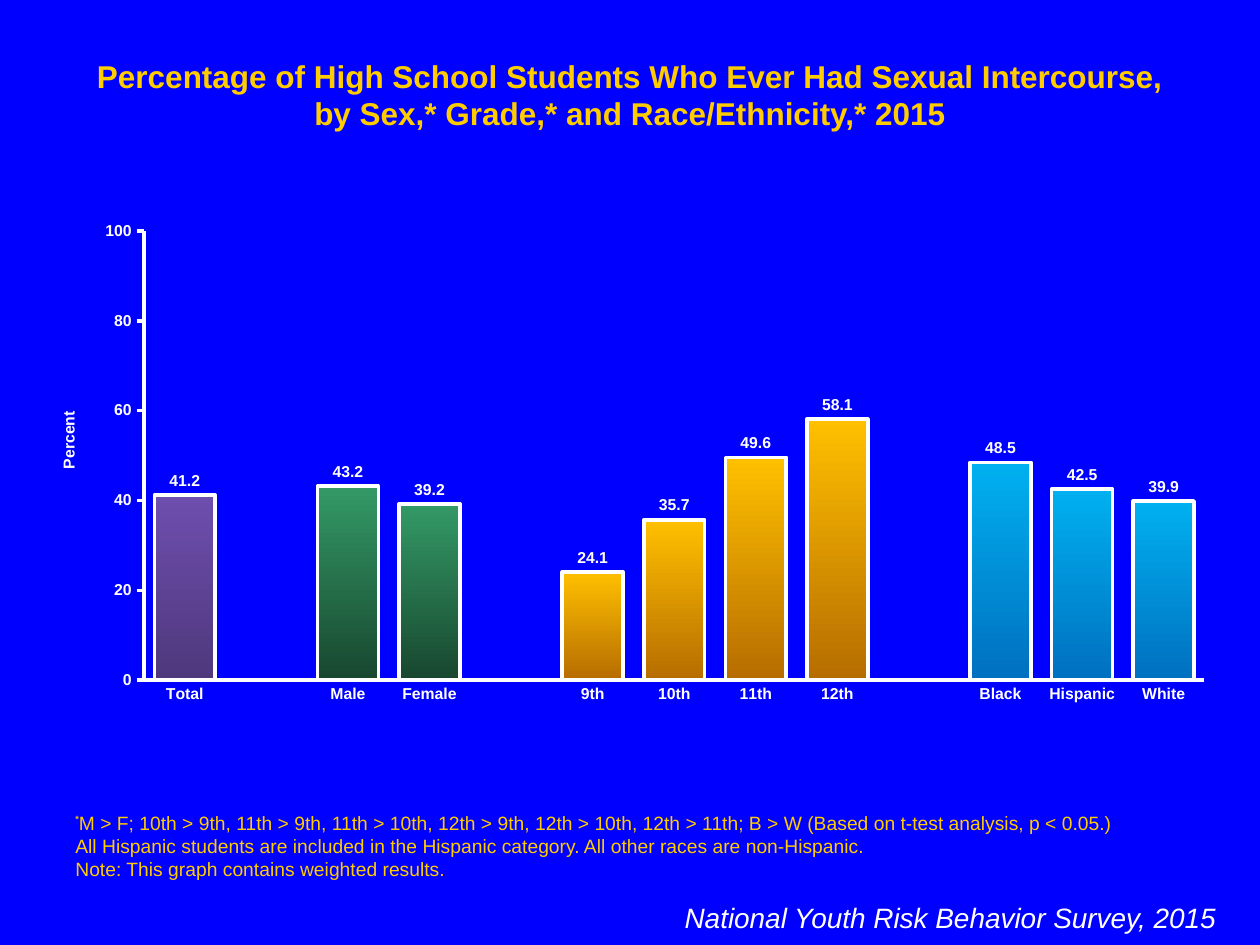
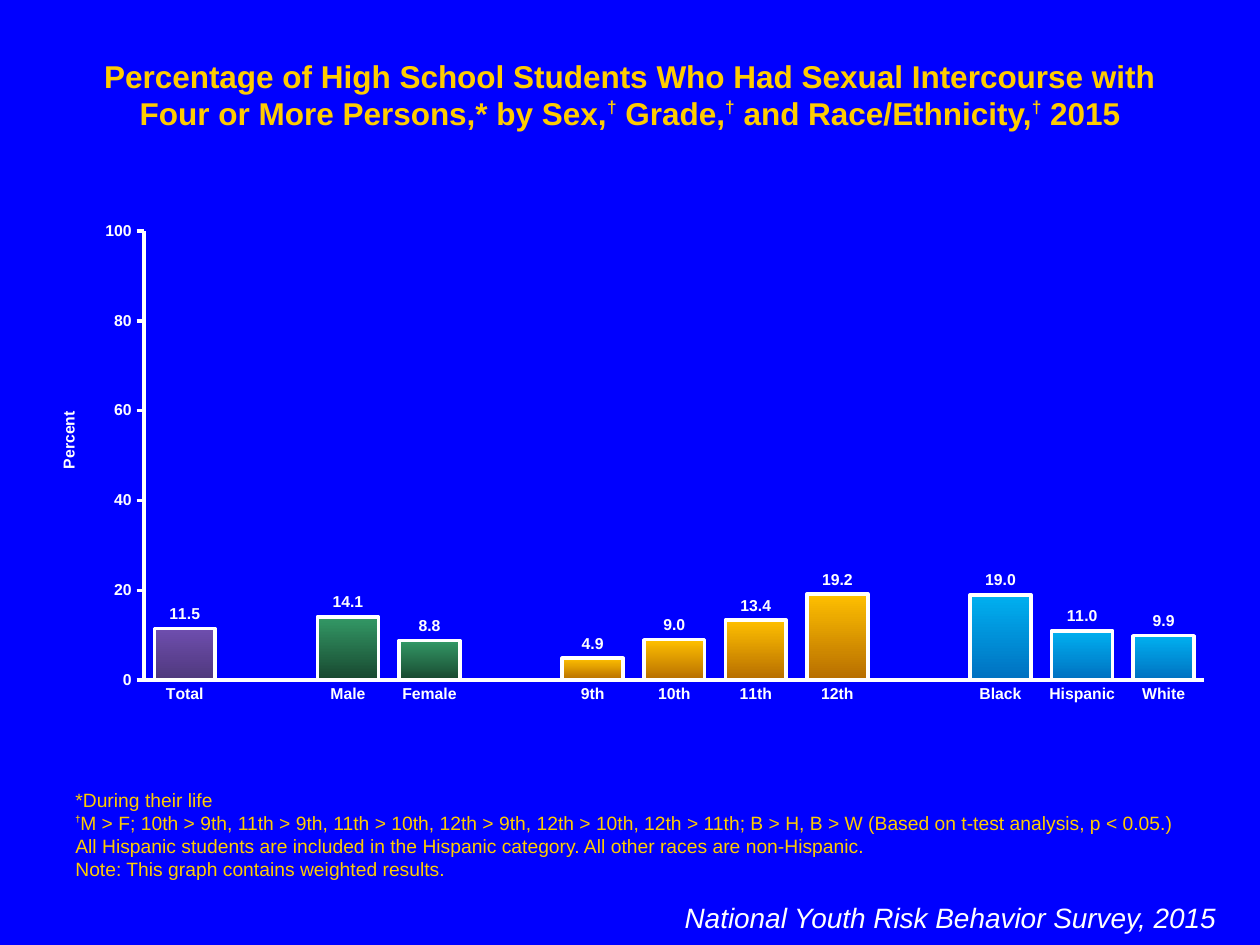
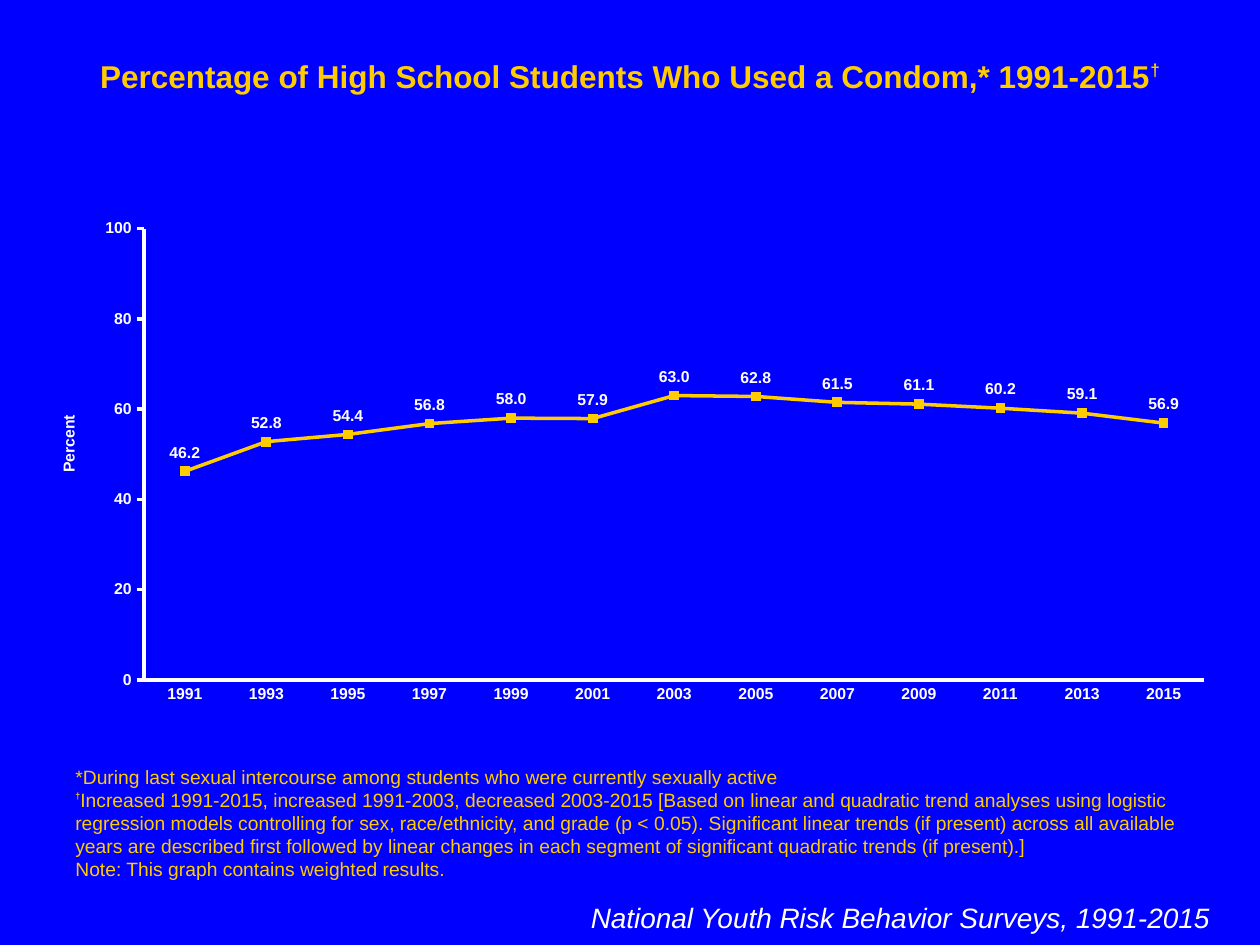
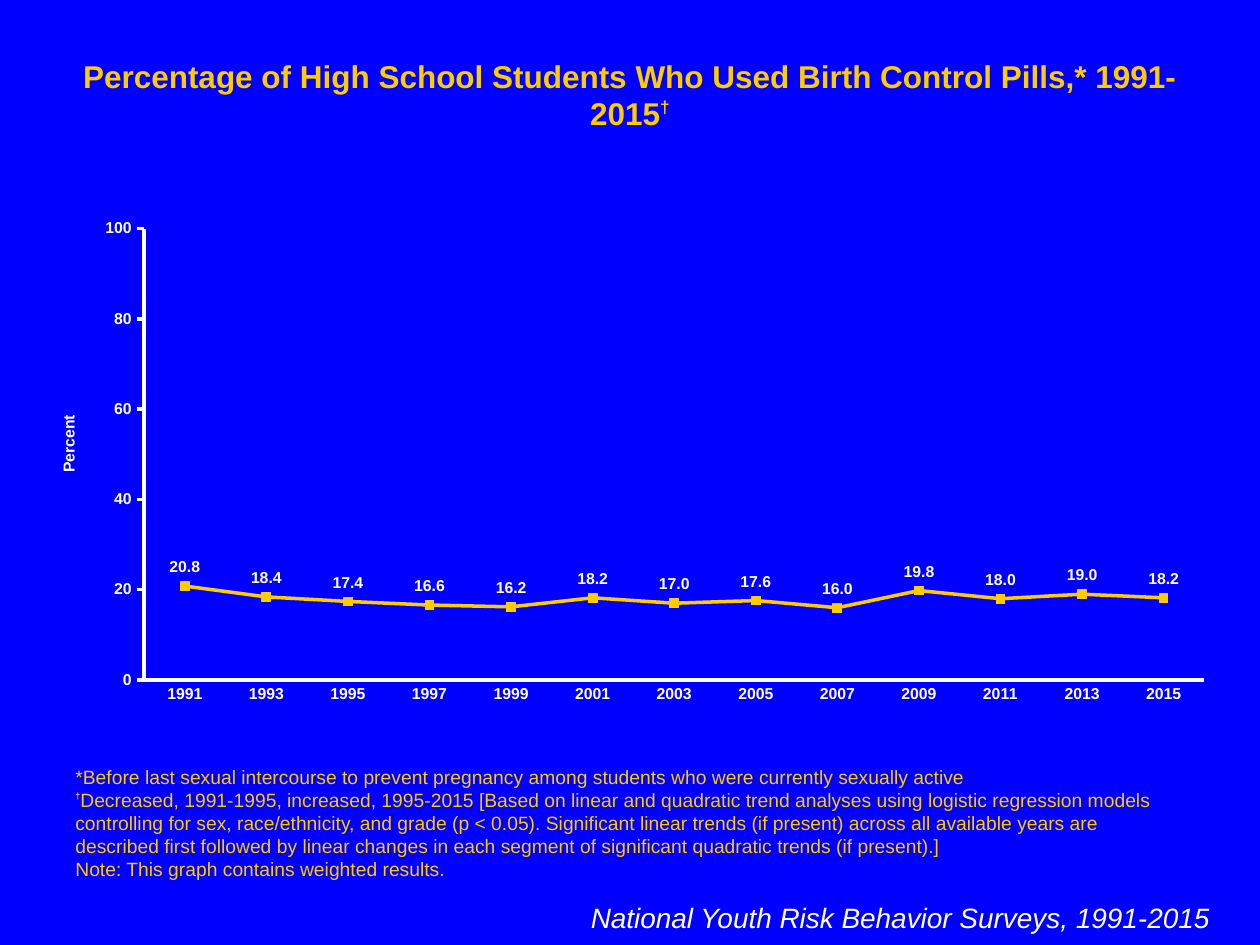
"""Build four survey slides, each with a title, a chart, footnotes and a source line."""
from lxml.etree import SubElement
from pptx import Presentation
from pptx.chart.data import CategoryChartData
from pptx.dml.color import RGBColor
from pptx.enum.chart import XL_CHART_TYPE, XL_LABEL_POSITION, XL_MARKER_STYLE, XL_TICK_MARK
from pptx.enum.text import MSO_ANCHOR, MSO_AUTO_SIZE, PP_ALIGN
from pptx.oxml.ns import qn
from pptx.util import Inches, Pt

BLUE, GOLD, WHITE = "0000FF", "FFCC00", "FFFFFF"
FONT = "Arial"
PURPLE_BAR, GREEN_BAR = ("6E4EAE", "4F387C"), ("339966", "18472F")
ORANGE_BAR, CYAN_BAR = ("FFC000", "B66D00"), ("00B0F0", "0070C0")
BARS = [("Total", PURPLE_BAR), ("", None), ("Male", GREEN_BAR), ("Female", GREEN_BAR), ("", None),
        ("9th", ORANGE_BAR), ("10th", ORANGE_BAR), ("11th", ORANGE_BAR), ("12th", ORANGE_BAR),
        ("", None), ("Black", CYAN_BAR), ("Hispanic", CYAN_BAR), ("White", CYAN_BAR)]
YEARS = [str(year) for year in range(1991, 2016, 2)]

GRADES = "M > F; 10th > 9th, 11th > 9th, 11th > 10th, 12th > 9th, 12th > 10th, 12th > 11th; "
T_TEST = " (Based on t-test analysis, p < 0.05.)"
HISPANIC = "All Hispanic students are included in the Hispanic category. All other races are non-Hispanic."
WEIGHTED = "Note: This graph contains weighted results."
TREND = (" [Based on linear and quadratic trend analyses using logistic regression models controlling "
         "for sex, race/ethnicity, and grade (p < 0.05). Significant linear trends (if present) across "
         "all available years are described first followed by linear changes in each segment of "
         "significant quadratic trends (if present).]")

# Text between bars is raised.
SLIDES = [
    ("bar", "Percentage of High School Students Who Ever Had Sexual Intercourse, "
     "by Sex,* Grade,* and Race/Ethnicity,* 2015",
     [41.2, None, 43.2, 39.2, None, 24.1, 35.7, 49.6, 58.1, None, 48.5, 42.5, 39.9],
     ["|*|" + GRADES + "B > W" + T_TEST, HISPANIC, WEIGHTED]),
    ("bar", "Percentage of High School Students Who Had Sexual Intercourse with "
     "Four or More Persons,* by Sex,|†| Grade,|†| and Race/Ethnicity,|†| 2015",
     [11.5, None, 14.1, 8.8, None, 4.9, 9, 13.4, 19.2, None, 19, 11, 9.9],
     ["*During their life", "|†|" + GRADES + "B > H, B > W" + T_TEST, HISPANIC, WEIGHTED]),
    ("line", "Percentage of High School Students Who Used a Condom,* 1991-2015|†|",
     [46.2, 52.8, 54.4, 56.8, 58, 57.9, 63, 62.8, 61.5, 61.1, 60.2, 59.1, 56.9],
     ["*During last sexual intercourse among students who were currently sexually active",
      "|†|Increased 1991-2015, increased 1991-2003, decreased 2003-2015" + TREND, WEIGHTED]),
    ("line", "Percentage of High School Students Who Used Birth Control Pills,* 1991-2015|†|",
     [20.8, 18.4, 17.4, 16.6, 16.2, 18.2, 17, 17.6, 16, 19.8, 18, 19, 18.2],
     ["*Before last sexual intercourse to prevent pregnancy among students who were currently "
      "sexually active",
      "|†|Decreased, 1991-1995, increased, 1995-2015" + TREND, WEIGHTED]),
]
SOURCES = {"bar": ("National Youth Risk Behavior Survey, 2015", (4.25, 7.1, 5.5, 0.64)),
           "line": ("National Youth Risk Behavior Surveys, 1991-2015", (4.53, 7.1, 5.17, 0.37))}


def rgb(color):
    """Turn a hex string into a colour."""
    return RGBColor.from_string(color)


def add_text(s, box, lines, size, color, align, raised=(17, 40), bold=False, italic=False):
    """Add a text box in which every second piece between bars is raised."""
    tf = s.shapes.add_textbox(*[Inches(v) for v in box]).text_frame
    tf.word_wrap = True
    tf.auto_size = MSO_AUTO_SIZE.SHAPE_TO_FIT_TEXT
    for i, line in enumerate(lines):
        p = tf.paragraphs[0] if i == 0 else tf.add_paragraph()
        p.alignment = align
        p.font.name, p.font.size, p.font.color.rgb = FONT, Pt(size), rgb(color)
        p.font.bold, p.font.italic = bold, italic
        for j, piece in enumerate(line.split("|")):
            if piece:
                r = p.add_run()
                r.text = piece
                if j % 2:
                    r.font.size, r.font.bold = Pt(raised[0]), True
                    r.font._element.set("baseline", str(raised[1] * 1000))
    return tf


prs = Presentation()
prs.slide_width, prs.slide_height = Inches(10), Inches(7.5)

for kind, title, values, notes in SLIDES:
    is_bar = kind == "bar"
    s = prs.slides.add_slide(prs.slide_layouts[6])
    s.background.fill.solid()
    s.background.fill.fore_color.rgb = rgb(BLUE)

    add_text(s, (0.5, 0.4, 9, 0.4), [title], 18, GOLD, PP_ALIGN.CENTER, bold=True)
    tf = add_text(s, (0.5, 6.75, 9, 0.29), notes, 11, GOLD, PP_ALIGN.LEFT, raised=(9, 50))
    tf.vertical_anchor = MSO_ANCHOR.BOTTOM
    source, box = SOURCES[kind]
    add_text(s, box, [source], 16, WHITE, PP_ALIGN.RIGHT, italic=True)

    data = CategoryChartData(number_format="General")
    data.categories = [name for name, _ in BARS] if is_bar else YEARS
    data.add_series("Series 1", values)
    chart_type = XL_CHART_TYPE.COLUMN_CLUSTERED if is_bar else XL_CHART_TYPE.LINE_MARKERS
    top, height = (1.69, 3.98) if is_bar else (1.67, 4)
    chart = s.shapes.add_chart(chart_type, Inches(0.25), Inches(top), Inches(9.5), Inches(height),
                               data).chart
    chart.has_title = chart.has_legend = False

    plot = chart.plots[0]
    plot.vary_by_categories = False
    plot.has_data_labels = True
    labels = plot.data_labels
    labels.show_value = True
    labels.number_format, labels.number_format_is_linked = "#,##0.0", False
    labels.position = XL_LABEL_POSITION.OUTSIDE_END if is_bar else XL_LABEL_POSITION.ABOVE

    cat_axis, val_axis = chart.category_axis, chart.value_axis
    cat_axis.major_tick_mark = XL_TICK_MARK.NONE
    val_axis.major_tick_mark = XL_TICK_MARK.OUTSIDE
    val_axis.minimum_scale, val_axis.maximum_scale, val_axis.major_unit = 0, 100, 20
    val_axis.tick_labels.number_format = "#,##0"
    val_axis.tick_labels.number_format_is_linked = False
    for axis in (cat_axis, val_axis):
        axis.has_major_gridlines = False
        axis.format.line.color.rgb = rgb(WHITE)
        axis.format.line.width = Pt(2)
    tf = val_axis.axis_title.text_frame
    tf.text = "Percent"
    tf._txBody.bodyPr.set("rot", "-5400000")
    tf._txBody.bodyPr.set("vert", "horz")
    for font in (chart.font, labels.font, cat_axis.tick_labels.font, val_axis.tick_labels.font,
                 tf.paragraphs[0].font):
        font.name, font.size, font.bold = FONT, Pt(9), True
        font.color.rgb = rgb(WHITE)

    plot_area = chart._chartSpace.chart.plotArea
    title_layout = {"xMode": "edge", "yMode": "edge", "x": 0.02, "y": 0.39 if is_bar else 0.4}
    plot_layout = {"layoutTarget": "inner", "xMode": "edge", "yMode": "edge",
                   "x": 0.094, "y": 0.036, "w": 0.886, "h": 0.896}
    for parent, index, layout in ((plot_area, 0, plot_layout),
                                  (val_axis.axis_title._element, 1, title_layout)):
        for old in parent.findall(qn("c:layout")):
            parent.remove(old)
        manual = SubElement(SubElement(parent, qn("c:layout")), qn("c:manualLayout"))
        for tag, value in layout.items():
            SubElement(manual, qn("c:" + tag)).set("val", str(value))
        parent.insert(index, parent[-1])

    series = plot.series[0]
    if is_bar:
        plot.gap_width, plot.overlap = 34, 100
        series.invert_if_negative = False
        series.format.fill.solid()
        series.format.fill.fore_color.rgb = rgb("26CA59")
        for i, (_, colors) in enumerate(BARS):
            if colors:
                fmt = series.points[i].format
                fmt.fill.gradient()
                fmt.fill.gradient_angle = 270
                for stop, color in zip(fmt.fill.gradient_stops, colors):
                    stop.color.rgb = rgb(color)
                fmt.line.color.rgb = rgb(WHITE)
                fmt.line.width = Pt(2)
    else:
        series.smooth = False
        series.format.line.color.rgb = rgb(GOLD)
        series.format.line.width = Pt(2)
        series.marker.style, series.marker.size = XL_MARKER_STYLE.SQUARE, 5
        series.marker.format.fill.solid()
        series.marker.format.fill.fore_color.rgb = rgb(GOLD)
        series.marker.format.line.color.rgb = rgb(GOLD)

prs.save("out.pptx")
